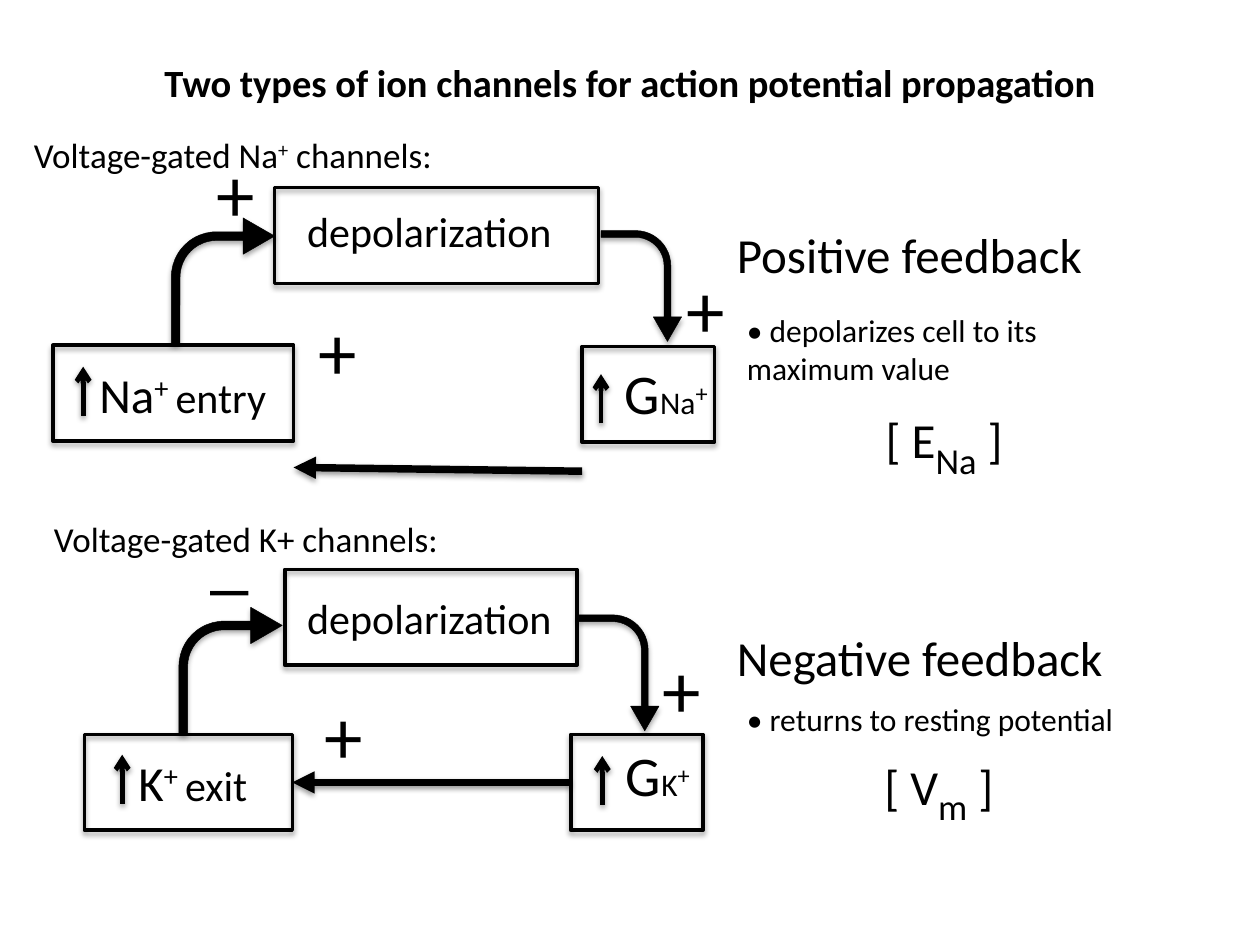
"""Build a slide comparing the feedback loops of two voltage-gated ion channels."""
from typing import NamedTuple

from lxml.etree import SubElement
from pptx import Presentation
from pptx.dml.color import RGBColor
from pptx.enum.shapes import MSO_CONNECTOR, MSO_SHAPE
from pptx.enum.text import MSO_ANCHOR, PP_ALIGN
from pptx.oxml.ns import qn
from pptx.util import Inches, Length, Pt

BLACK = RGBColor(0x00, 0x00, 0x00)
FONT = "Calibri"
COLUMNS, ROWS = 100, 75
SLIDE_WIDTH, SLIDE_HEIGHT = Inches(10), Inches(7.5)
BOX_HEIGHT = 7.6
BEND = (0.084, 0.176, 0.305, 0.438)
LEFT_SIDE, RIGHT_SIDE = 1, 3


class Area(NamedTuple):
    column: float
    row: float
    width: float
    height: float


class Run(NamedTuple):
    text: str
    size: float
    baseline: int = 0


class Label(NamedTuple):
    area: Area
    lines: list[list[Run]]
    wrap: bool = False


class Bend(NamedTuple):
    area: Area
    rotation: int = 0


class Arrow(NamedTuple):
    start: tuple[float, float]
    end: tuple[float, float]
    weight: float
    head: str


class Loop(NamedTuple):
    boxes: list[Area]
    rises: list[tuple[float, float]]
    bends: list[Bend]
    feedback: Arrow
    joined: bool
    signs: list[tuple[str, float, float]]
    labels: list[Label]


def across(columns: float) -> Length:
    return Length(round(SLIDE_WIDTH * columns / COLUMNS))


def down(rows: float) -> Length:
    return Length(round(SLIDE_HEIGHT * rows / ROWS))


def frame(area: Area) -> tuple[Length, Length, Length, Length]:
    return across(area.column), down(area.row), across(area.width), down(area.height)


def add_shadow(shape, opacity: int, distance: float) -> None:
    effects = SubElement(shape._element.spPr, qn("a:effectLst"))
    shadow = SubElement(effects, qn("a:outerShdw"), blurRad=str(Pt(3.1)),
                        dist=str(Pt(distance)), dir="5400000", rotWithShape="0")
    color = SubElement(shadow, qn("a:srgbClr"), val=str(BLACK))
    SubElement(color, qn("a:alpha"), val=str(opacity * 1000))


def add_run(paragraph, item: Run, bold: bool = False) -> None:
    run = paragraph.add_run()
    run.text = item.text
    font = run.font
    font.name, font.size, font.bold = FONT, Pt(item.size), bold
    font.color.rgb = BLACK
    if item.baseline:
        run._r.get_or_add_rPr().set("baseline", str(item.baseline * 1000))


def add_label(slide, label: Label) -> None:
    text_frame = slide.shapes.add_textbox(*frame(label.area)).text_frame
    text_frame.word_wrap = label.wrap
    for index, line in enumerate(label.lines):
        paragraph = text_frame.add_paragraph() if index else text_frame.paragraphs[0]
        for item in line:
            add_run(paragraph, item)


def add_box(slide, area: Area):
    box = slide.shapes.add_shape(MSO_SHAPE.RECTANGLE, *frame(area))
    box.fill.background()
    box.line.color.rgb = BLACK
    box.line.width = Pt(2)
    add_shadow(box, 35, 1.8)
    return box


def add_bend(slide, bend: Bend) -> None:
    shape = slide.shapes.add_shape(MSO_SHAPE.BENT_ARROW, *frame(bend.area))
    shape.rotation = bend.rotation
    for index, value in enumerate(BEND):
        shape.adjustments[index] = value
    shape.fill.solid()
    shape.fill.fore_color.rgb = BLACK
    shape.line.color.rgb = BLACK
    shape.line.width = Pt(0.25)
    add_shadow(shape, 35, 1.8)


def add_arrow(slide, arrow: Arrow):
    (begin_x, begin_y), (end_x, end_y) = arrow.start, arrow.end
    connector = slide.shapes.add_connector(
        MSO_CONNECTOR.STRAIGHT, across(begin_x), down(begin_y), across(end_x), down(end_y))
    connector.line.color.rgb = BLACK
    connector.line.width = Pt(arrow.weight)
    SubElement(connector.line._get_or_add_ln(), qn("a:tailEnd"), type=arrow.head)
    add_shadow(connector, 38, 1.6)
    return connector


def add_loop(slide, loop: Loop) -> None:
    _, flow_box, conductance_box = [add_box(slide, area) for area in loop.boxes]
    for column, row in loop.rises:
        add_arrow(slide, Arrow((column, row + 3.9), (column, row), 2.75, "arrow"))
    for bend in loop.bends:
        add_bend(slide, bend)
    feedback = add_arrow(slide, loop.feedback)
    if loop.joined:
        feedback.begin_connect(conductance_box, LEFT_SIDE)
        feedback.end_connect(flow_box, RIGHT_SIDE)
    for sign, column, row in loop.signs:
        add_label(slide, Label(Area(column, row, 5.1, 8.4), [[Run(sign, 44)]]))
    for label in loop.labels:
        add_label(slide, label)


def flow(ion: str, verb: str) -> list[list[Run]]:
    return [[Run(ion, 28), Run("+", 28, 30), Run(" ", 18), Run(verb, 24)]]


def conductance(ion: str) -> list[list[Run]]:
    return [[Run("G", 32), Run(ion, 18), Run("+", 24, 30)]]


def potential(symbol: str, subscript: str) -> list[list[Run]]:
    return [[Run(f"[ {symbol}", 28), Run(subscript, 36, -25), Run(" ]", 28)]]


SODIUM = Loop(
    [Area(21.8, 14.9, 25.7, BOX_HEIGHT), Area(4.2, 27.4, 19.1, BOX_HEIGHT),
     Area(46.2, 27.5, 10.5, BOX_HEIGHT)],
    [(6.6, 29.1), (47.7, 29.7)],
    [Bend(Area(13.6, 17.3, 8.2, 10)), Bend(Area(46.5, 19.5, 8.8, 6.4), 90)],
    Arrow((46.2, 37.4), (23.3, 37.1), 4.25, "triangle"), False,
    [("+", 16.2, 11.1), ("+", 24.3, 23.6), ("+", 53.5, 20.3)],
    [Label(Area(23.4, 15.8, 21.6, 5), [[Run("depolarization", 24)]]),
     Label(Area(6.9, 28.4, 15.6, 5.7), flow("Na", "entry")),
     Label(Area(48.6, 28, 8.8, 6.4), conductance("Na")),
     Label(Area(1.7, 10.1, 47.4, 5.7),
           [[Run("Voltage-gated Na", 20), Run("+", 20, 30), Run(" channels:", 20)]]),
     Label(Area(57.5, 17.3, 33.9, 5.7), [[Run("Positive feedback", 28)]]),
     Label(Area(58.3, 24.2, 27.7, 7.1),
           [[Run("• depolarizes cell to its", 18)], [Run("maximum value", 18)]]),
     Label(Area(69.3, 30.9, 11.9, 5.7), potential("E", "Na"))])

POTASSIUM = Loop(
    [Area(22.6, 45.2, 23.2, BOX_HEIGHT), Area(6.7, 58.3, 16.5, BOX_HEIGHT),
     Area(45.3, 58.3, 10.5, BOX_HEIGHT)],
    [(9.7, 59.9), (47.8, 60)],
    [Bend(Area(14.2, 48.2, 8.2, 10)), Bend(Area(44.5, 50.2, 9.2, 6.4), 90)],
    Arrow((45.3, 62.1), (23.2, 62.1), 4.25, "triangle"), True,
    [("_", 15.7, 39.9), ("+", 24.8, 54.1), ("+", 51.6, 50.4)],
    [Label(Area(23.4, 46.5, 21.6, 5), [[Run("depolarization", 24)]]),
     Label(Area(10, 59.2, 10.9, 5.7), flow("K", "exit")),
     Label(Area(48.7, 58.3, 7.3, 6.4), conductance("K")),
     Label(Area(3.3, 40.6, 32.8, 4.4), [[Run("Voltage-gated K+ channels:", 20)]]),
     Label(Area(57.5, 49.3, 35.7, 5.7), [[Run("Negative feedback", 28)]]),
     Label(Area(58.3, 55.1, 31.4, 4), [[Run("• returns to resting potential", 18)]]),
     Label(Area(69.2, 58.4, 12.2, 5.7), potential("V", "m"), True)])


def main() -> None:
    presentation = Presentation()
    presentation.slide_width, presentation.slide_height = SLIDE_WIDTH, SLIDE_HEIGHT
    slide = presentation.slides.add_slide(presentation.slide_layouts[5])
    title = slide.shapes.title
    title.left, title.top, title.width, title.height = frame(Area(5, 0.3, 90, 12.5))
    title.text_frame.vertical_anchor = MSO_ANCHOR.MIDDLE
    paragraph = title.text_frame.paragraphs[0]
    paragraph.alignment = PP_ALIGN.CENTER
    heading = Run("Two types of ion channels for action potential propagation", 22)
    add_run(paragraph, heading, bold=True)
    for loop in (SODIUM, POTASSIUM):
        add_loop(slide, loop)
    presentation.save("out.pptx")


if __name__ == "__main__":
    main()
